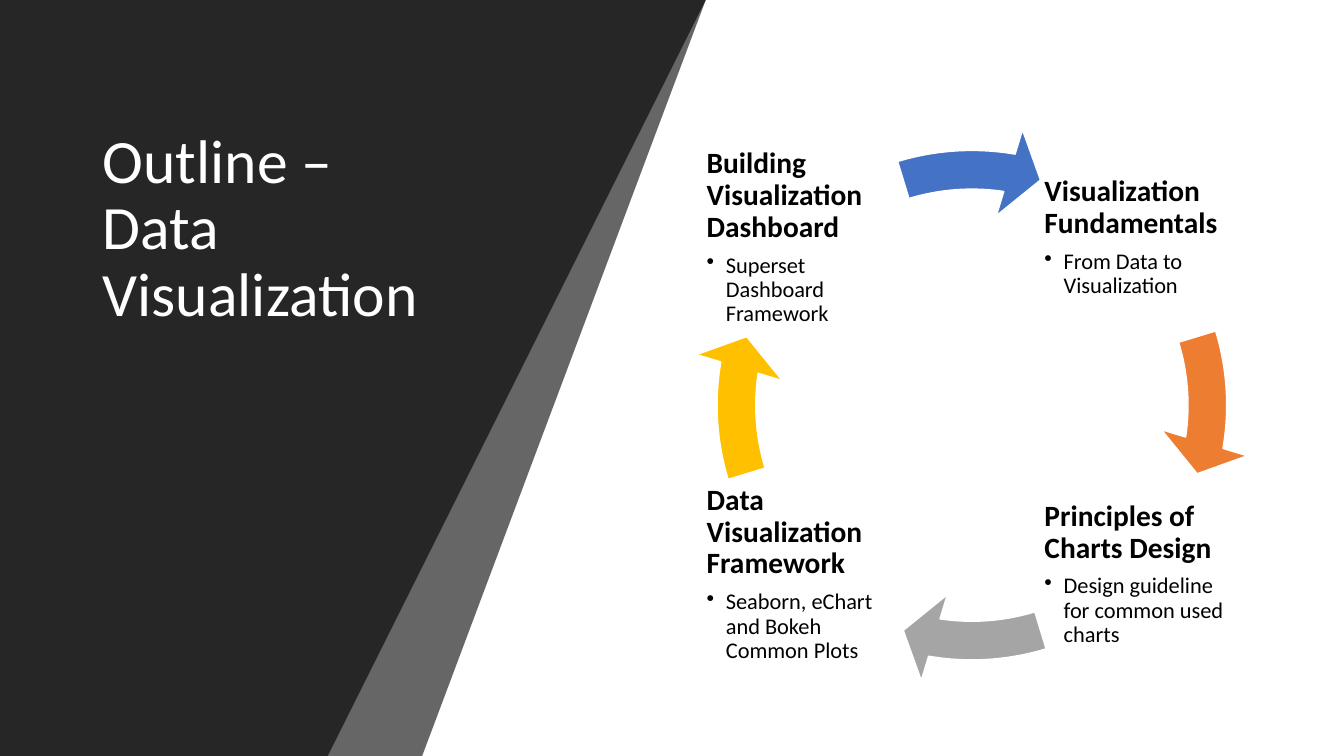
import pptx
import pptx.util
import pptx.dml.color
import pptx.enum.shapes
import pptx.enum.text
import pptx.oxml
import pptx.oxml.ns
import lxml.etree

Inches = pptx.util.Inches
Pt = pptx.util.Pt
qn = pptx.oxml.ns.qn


def paint(fill, color):
    fill.solid()
    fill.fore_color.rgb = pptx.dml.color.RGBColor.from_string(color)


def style(para, size, color, bold=False):
    para.line_spacing = 0.9
    para.alignment = pptx.enum.text.PP_ALIGN.LEFT
    for run in para.runs:
        run.font.name = "Calibri"
        run.font.size = Pt(size)
        run.font.bold = bold
        paint(run.font.fill, color)


deck = pptx.Presentation()
deck.slide_width = Inches(13.33)
deck.slide_height = Inches(7.5)
page = deck.slides.add_slide(deck.slide_layouts[5])
title = page.shapes.title

# Slanted dark panels: translucent edge behind, solid panel in front
for top_width, bottom_width, opacity in [(6.98, 3.5, 70), (6.53, 3.06, 100)]:
    builder = page.shapes.build_freeform(0, 0, scale=Inches(1))
    builder.add_line_segments([(top_width, 0), (bottom_width, 7.5), (0, 7.5)], close=True)
    panel = builder.convert_to_shape()
    panel.shadow.inherit = False
    panel.line.fill.background()
    paint(panel.fill, "262626")
    if opacity < 100:
        color_node = panel.fill._xPr.find(".//" + qn("a:srgbClr"))
        lxml.etree.SubElement(color_node, qn("a:alpha"), val=str(opacity * 1000))

# Title, brought in front of the panels
page.shapes._spTree.append(title._element)
title.left, title.top = Inches(0.92), Inches(0.48)
title.width, title.height = Inches(3.58), Inches(3.6)
title.text_frame.text = "Outline – Data Visualization"
title.text_frame.word_wrap = True
title.text_frame.auto_size = pptx.enum.text.MSO_AUTO_SIZE.NONE
title.text_frame.vertical_anchor = pptx.enum.text.MSO_ANCHOR.MIDDLE
style(title.text_frame.paragraphs[0], 44, "FFFFFF")

# Cycle: each topic with the arrow a quarter turn further on
LEFT, RIGHT, UPPER, LOWER = 6.98, 10.33, 1.37, 4.71
topics = [
    ("Visualization Fundamentals", "From Data to Visualization", RIGHT, UPPER, "ED7D31"),
    ("Principles of Charts Design", "Design guideline for common used charts", RIGHT, LOWER, "A5A5A5"),
    ("Data Visualization Framework", "Seaborn, eChart and Bokeh Common Plots", LEFT, LOWER, "FFC000"),
    ("Building Visualization Dashboard", "Superset Dashboard Framework", LEFT, UPPER, "4472C4"),
]
QUARTER_TURN = 54  # adjustment units; a full turn is 216

for index, (heading, detail, left, top, color) in enumerate(topics):
    box = page.shapes.add_textbox(Inches(left), Inches(top), Inches(1.97), Inches(1.97))
    frame = box.text_frame
    frame.word_wrap = True
    frame.vertical_anchor = pptx.enum.text.MSO_ANCHOR.MIDDLE
    frame.margin_left = frame.margin_right = Inches(0.03)
    frame.margin_top = frame.margin_bottom = Inches(0.03)

    para = frame.paragraphs[0]
    para.text = heading
    style(para, 21, "000000", bold=True)
    para.space_after = Pt(7.35)

    para = frame.add_paragraph()
    para.text = detail
    para.level = 1
    properties = para._p.get_or_add_pPr()
    properties.set("marL", str(Inches(0.19)))
    properties.set("indent", str(-Inches(0.19)))
    lxml.etree.SubElement(properties, qn("a:buChar"), char="•")
    style(para, 16, "000000")
    para.space_after = Pt(2.4)

    arrow = page.shapes.add_shape(
        pptx.enum.shapes.MSO_SHAPE.CIRCULAR_ARROW,
        Inches(6.86), Inches(1.24), Inches(5.56), Inches(5.56))
    arrow.shadow.inherit = False
    turn = QUARTER_TURN * index
    for position, value in enumerate([0.069, 4.65, 5.51 + turn, (205.84 + turn) % 216, 0.08]):
        arrow.adjustments[position] = value
    paint(arrow.fill, color)
    paint(arrow.line.fill, "FFFFFF")
    arrow.line.width = Pt(1)

deck.save("out.pptx")
